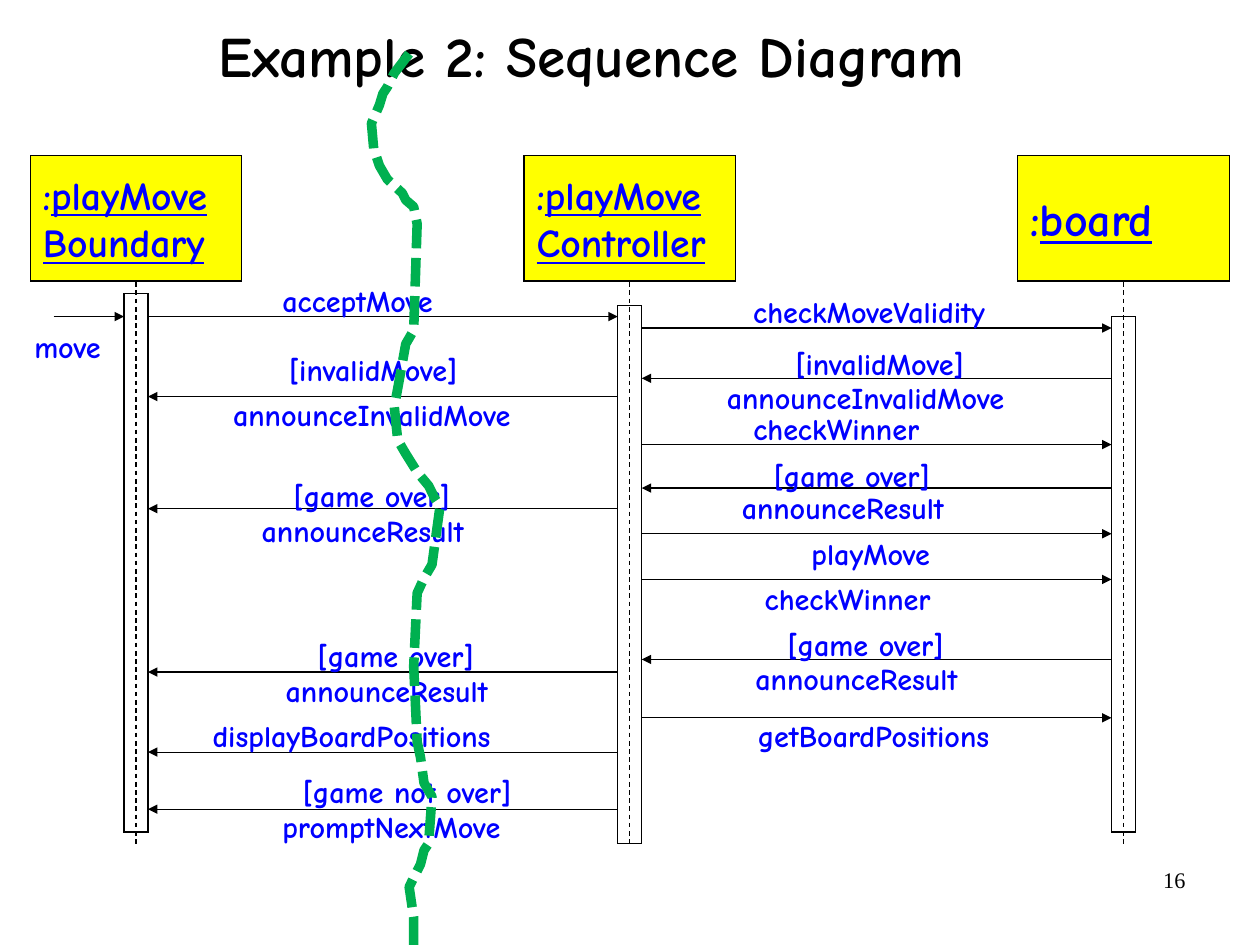
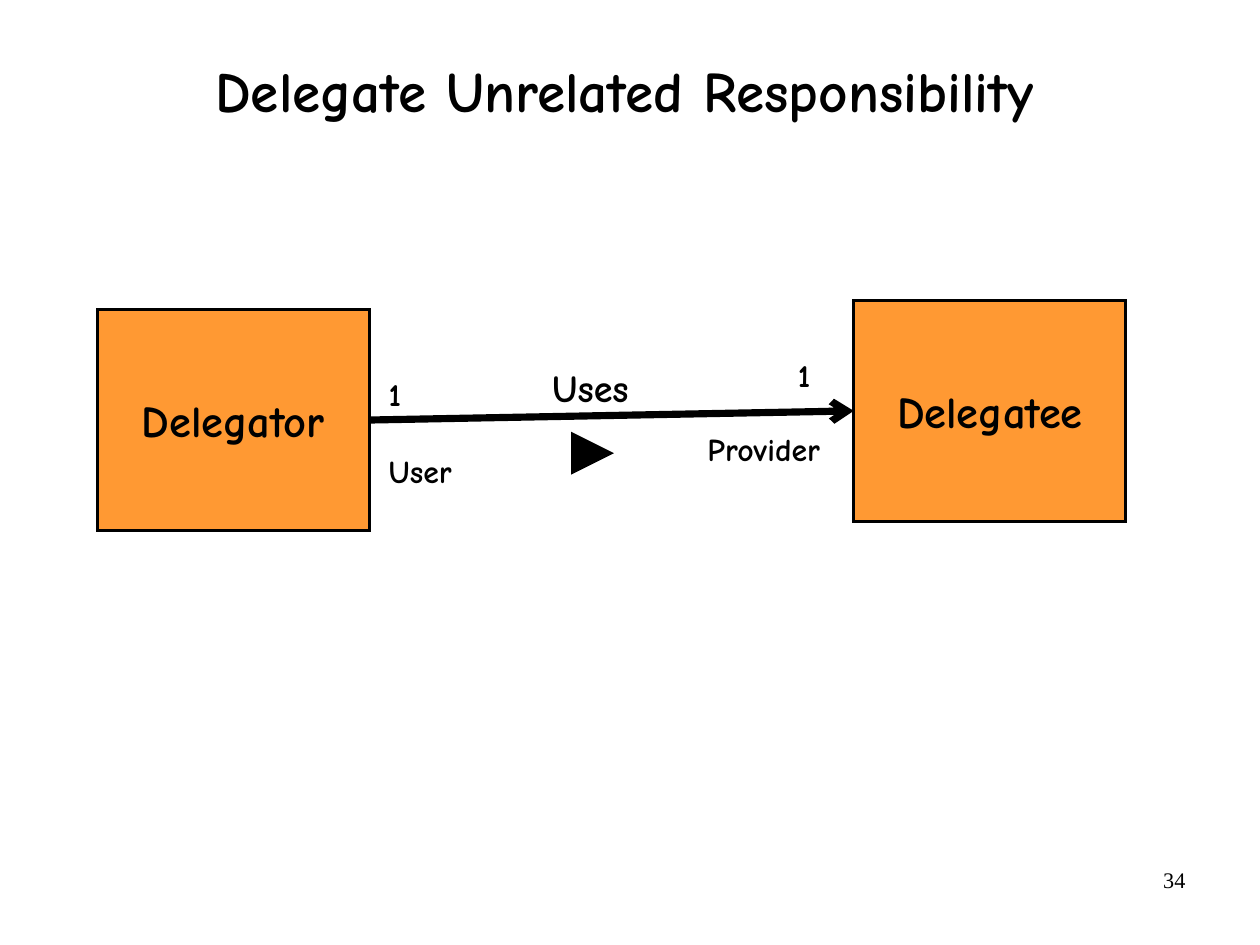
"""Build a sequence diagram slide and a delegation diagram slide."""
from lxml import etree
from pptx import Presentation
from pptx import util as u
from pptx.dml.color import RGBColor
from pptx.enum import dml, shapes, text
from pptx.oxml.ns import qn

BLACK = RGBColor(0x00, 0x00, 0x00)
BLUE = RGBColor(0x00, 0x00, 0xFF)
YELLOW = RGBColor(0xFF, 0xFF, 0x00)
ORANGE = RGBColor(0xFF, 0x99, 0x33)
GREEN = RGBColor(0x00, 0xB0, 0x50)
COMIC, TIMES = "Comic Neue", "Times New Roman"
LEFT, CENTER, RIGHT = text.PP_ALIGN.LEFT, text.PP_ALIGN.CENTER, text.PP_ALIGN.RIGHT
TOP, MIDDLE = text.MSO_ANCHOR.TOP, text.MSO_ANCHOR.MIDDLE

SLIDE_WIDTH, SLIDE_HEIGHT = u.Cm(28), u.Cm(21)
NO_INSETS, TITLE_INSETS = (0, 0), (0.02, 0.06)
BOX_INSETS, NUMBER_INSETS = (0.11, 0.06), (0.1, 0.05)
NUMBER_FRAME = (7.9, 7.53, 2.57, 0.57)

FIRST_LIFELINE, LIFELINE_PITCH = 1.19, 4.32
HEAD_TOP, HEAD_WIDTH, HEAD_HEIGHT = 1.36, 1.85, 1.1
LIFELINE_TOP, LIFELINE_END = 2.47, 7.38
BAR_WIDTH, LABEL_HEIGHT = 0.21, 0.32

PARTICIPANTS = [
    (["playMove", "Boundary"], 25, 2.57, 7.28),
    (["playMove", "Controller"], 25, 2.67, 7.38),
    (["board"], 29, 2.77, 7.28),
]
BOUNDARY, CONTROLLER, BOARD = range(3)

MESSAGES = [
    (BOUNDARY, CONTROLLER, 2.77, [("acceptMove", 2.47, 2.47)]),
    (CONTROLLER, BOARD, 2.87, [("checkMoveValidity", 6.59, 2.57)]),
    (BOARD, CONTROLLER, 3.31,
     [("[invalidMove]", 6.96, 3.02), ("announceInvalidMove", 6.36, 3.32)]),
    (CONTROLLER, BOUNDARY, 3.47,
     [("[invalidMove]", 2.53, 3.07), ("announceInvalidMove", 2.04, 3.47)]),
    (CONTROLLER, BOARD, 3.89, [("checkWinner", 6.59, 3.59)]),
    (BOARD, CONTROLLER, 4.27,
     [("[game over]", 6.77, 4.0), ("announceResult", 6.49, 4.28)]),
    (CONTROLLER, BOUNDARY, 4.45,
     [("[game over]", 2.57, 4.18), ("announceResult", 2.29, 4.48)]),
    (CONTROLLER, BOARD, 4.67, [("playMove", 7.1, 4.68)]),
    (CONTROLLER, BOARD, 5.07, [("checkWinner", 6.69, 5.08)]),
    (BOARD, CONTROLLER, 5.77,
     [("[game over]", 6.89, 5.48), ("announceResult", 6.61, 5.78)]),
    (CONTROLLER, BOUNDARY, 5.88,
     [("[game over]", 2.78, 5.58), ("announceResult", 2.5, 5.88)]),
    (CONTROLLER, BOARD, 6.28, [("getBoardPositions", 6.63, 6.28)]),
    (CONTROLLER, BOUNDARY, 6.58, [("displayBoardPositions", 1.86, 6.28)]),
    (CONTROLLER, BOUNDARY, 7.08,
     [("[game not over]", 2.65, 6.77), ("promptNextMove", 2.47, 7.07)]),
]
LABEL_WIDTHS = {
    "move": 0.59, "acceptMove": 1.32, "checkMoveValidity": 2.04,
    "[invalidMove]": 1.48, "announceInvalidMove": 2.44, "checkWinner": 1.45,
    "[game over]": 1.37, "announceResult": 1.77, "playMove": 1.04,
    "getBoardPositions": 2.03, "displayBoardPositions": 2.44,
    "[game not over]": 1.83, "promptNextMove": 1.92,
}
SYSTEM_BORDER = [
    (3.58, 0.47), (3.45, 0.64), (3.39, 0.76), (3.35, 0.82), (3.32, 0.92),
    (3.25, 1.08), (3.27, 1.3), (3.32, 1.45), (3.39, 1.57), (3.52, 1.69),
    (3.55, 1.75), (3.62, 1.81), (3.65, 1.96), (3.62, 2.89), (3.55, 3.01),
    (3.48, 3.4), (3.45, 3.56), (3.48, 3.85), (3.55, 3.97), (3.65, 4.13),
    (3.75, 4.25), (3.81, 4.37), (3.85, 4.43), (3.78, 4.94), (3.71, 5.06),
    (3.65, 5.19), (3.62, 5.83), (3.65, 6.49), (3.68, 6.63), (3.71, 6.85),
    (3.78, 6.97), (3.75, 7.38), (3.71, 7.44), (3.68, 7.56), (3.62, 7.68),
    (3.58, 7.76), (3.62, 8.03), (3.62, 8.27),
]

CLASS_WIDTH, CLASS_HEIGHT = 2.38, 1.93
CLASSES = [("Delegator", 0.85, 2.71), ("Delegatee", 7.47, 2.63)]
ASSOCIATION_LABELS = [
    ("Uses", 24, (4.72, 3.13, 0.89, 0.51)),
    ("User", 20, (3.29, 3.89, 0.77, 0.44)),
    ("Provider", 20, (6.08, 3.7, 1.21, 0.44)),
    ("1", 20, (3.29, 3.22, 0.33, 0.44)),
    ("1", 20, (6.87, 3.05, 0.33, 0.44)),
]


def inches(values):
    """Convert numbers to lengths."""
    return [u.Inches(value) for value in values]


def set_frame(shape, insets, anchor=TOP, wrap=True):
    """Set the insets, anchor and wrapping of a shape's text."""
    frame = shape.text_frame
    frame.margin_left = frame.margin_right = u.Inches(insets[0])
    frame.margin_top = frame.margin_bottom = u.Inches(insets[1])
    frame.vertical_anchor = anchor
    frame.auto_size = text.MSO_AUTO_SIZE.NONE
    frame.word_wrap = wrap
    return frame


def set_font(paragraph, size, color=BLACK, name=COMIC, align=LEFT):
    """Format a whole paragraph."""
    paragraph.alignment = align
    font = paragraph.font
    font.name, font.size, font.bold = name, u.Pt(size), name == COMIC
    font.color.rgb = color


def add_text(slide, words, frame, size, insets, wrap=False, **style):
    """Add a text box holding one paragraph."""
    box = slide.shapes.add_textbox(*inches(frame))
    paragraph = set_frame(box, insets, wrap=wrap).paragraphs[0]
    paragraph.text = words
    set_font(paragraph, size, **style)


def add_box(slide, frame, fill, weight, kind=shapes.MSO_SHAPE.RECTANGLE):
    """Add a sharp-cornered outlined shape, unfilled when fill is None."""
    shape = slide.shapes.add_shape(kind, *inches(frame))
    shape.shadow.inherit = False
    if fill is None:
        shape.fill.background()
    else:
        shape.fill.solid()
        shape.fill.fore_color.rgb = fill
    shape.line.color.rgb = BLACK
    shape.line.width = u.Pt(weight)
    outline = shape.element.spPr.find(qn("a:ln"))
    etree.SubElement(outline, qn("a:miter"), lim="800000")
    return shape


def add_line(slide, start, end, weight=0.75, dash=None, head=None):
    """Add a straight line with an optional dash or arrowhead."""
    connector = slide.shapes.add_connector(
        shapes.MSO_CONNECTOR.STRAIGHT, *inches((*start, *end)))
    connector.line.color.rgb = BLACK
    connector.line.width = u.Pt(weight)
    if dash:
        connector.line.dash_style = dash
    properties = connector.element.spPr
    if head:
        etree.SubElement(properties.find(qn("a:ln")), qn("a:tailEnd"), type=head)
    etree.SubElement(properties, qn("a:effectLst"))


def add_slide(presentation, title, frame, spacing, number):
    """Add a slide with its title and number."""
    slide = presentation.slides.add_slide(presentation.slide_layouts[5])
    shape = slide.shapes.title
    shape.left, shape.top, shape.width, shape.height = inches(frame)
    paragraph = set_frame(shape, TITLE_INSETS, MIDDLE).paragraphs[0]
    paragraph.text = title
    paragraph.line_spacing = spacing
    set_font(paragraph, 36, align=CENTER)
    add_text(slide, str(number), NUMBER_FRAME, 14, NUMBER_INSETS, wrap=True,
             name=TIMES, align=RIGHT)
    return slide


def add_participant(slide, center, names, size, bar_top, bar_end):
    """Add a participant's head, activation bar and lifeline."""
    head = add_box(slide, (center - HEAD_WIDTH / 2, HEAD_TOP, HEAD_WIDTH, HEAD_HEIGHT),
                   YELLOW, 0.75)
    frame = set_frame(head, BOX_INSETS, MIDDLE)
    for index, name in enumerate(names):
        paragraph = frame.add_paragraph() if index else frame.paragraphs[0]
        if index == 0:
            paragraph.add_run().text = ":"
        run = paragraph.add_run()
        run.text = name
        run.font.underline = True
        set_font(paragraph, size, BLUE)
    add_box(slide, (center - BAR_WIDTH / 2, bar_top, BAR_WIDTH, bar_end - bar_top),
            None, 0.75)
    add_line(slide, (center, LIFELINE_TOP), (center, LIFELINE_END),
             dash=dml.MSO_LINE.DASH)


def add_label(slide, words, left, top):
    """Add a message label."""
    add_text(slide, words, (left, top, LABEL_WIDTHS[words], LABEL_HEIGHT), 19,
             NO_INSETS, color=BLUE)


def add_border(slide):
    """Add the dashed system border."""
    points = [inches(point) for point in SYSTEM_BORDER]
    builder = slide.shapes.build_freeform(*points[0])
    builder.add_line_segments(points[1:], close=False)
    border = builder.convert_to_shape()
    border.shadow.inherit = False
    border.fill.background()
    border.line.color.rgb = GREEN
    border.line.width = u.Pt(6)
    border.line.dash_style = dml.MSO_LINE.SQUARE_DOT


def build_sequence(presentation):
    """Build the sequence diagram slide."""
    slide = add_slide(presentation, "Example 2: Sequence Diagram",
                      (0.49, -0.2, 9.37, 1.42), 0.94, 16)
    centers = [FIRST_LIFELINE + LIFELINE_PITCH * i for i in range(len(PARTICIPANTS))]
    for center, participant in zip(centers, PARTICIPANTS):
        add_participant(slide, center, *participant)
    add_line(slide, (0.47, 2.77), (centers[BOUNDARY] - BAR_WIDTH / 2, 2.77),
             head="triangle")
    add_label(slide, "move", 0.3, 2.87)
    for sender, receiver, y, labels in MESSAGES:
        edge = BAR_WIDTH / 2 if receiver > sender else -BAR_WIDTH / 2
        add_line(slide, (centers[sender] + edge, y), (centers[receiver] - edge, y),
                 head="triangle")
        for label in labels:
            add_label(slide, *label)
    add_border(slide)


def build_delegation(presentation):
    """Build the delegation diagram slide."""
    slide = add_slide(presentation, "Delegate Unrelated Responsibility",
                      (0.26, 0.55, 10.41, 0.58), 0.8, 34)
    for name, left, top in CLASSES:
        shape = add_box(slide, (left, top, CLASS_WIDTH, CLASS_HEIGHT), ORANGE, 2)
        paragraph = set_frame(shape, BOX_INSETS, MIDDLE).paragraphs[0]
        paragraph.text = name
        set_font(paragraph, 28, align=CENTER)
    (_, user_left, user_top), (_, provider_left, provider_top) = CLASSES
    add_line(slide, (user_left + CLASS_WIDTH, user_top + CLASS_HEIGHT / 2),
             (provider_left, provider_top + CLASS_HEIGHT / 2), 4.5, head="arrow")
    for words, size, frame in ASSOCIATION_LABELS:
        add_text(slide, words, frame, size, BOX_INSETS)
    direction = add_box(slide, (5.01, 3.8, 0.33, 0.33), BLACK, 2,
                        shapes.MSO_SHAPE.ISOSCELES_TRIANGLE)
    direction.rotation = 90


def main():
    """Build and save the presentation."""
    presentation = Presentation()
    presentation.slide_width = SLIDE_WIDTH
    presentation.slide_height = SLIDE_HEIGHT
    build_sequence(presentation)
    build_delegation(presentation)
    presentation.save("out.pptx")


if __name__ == "__main__":
    main()
